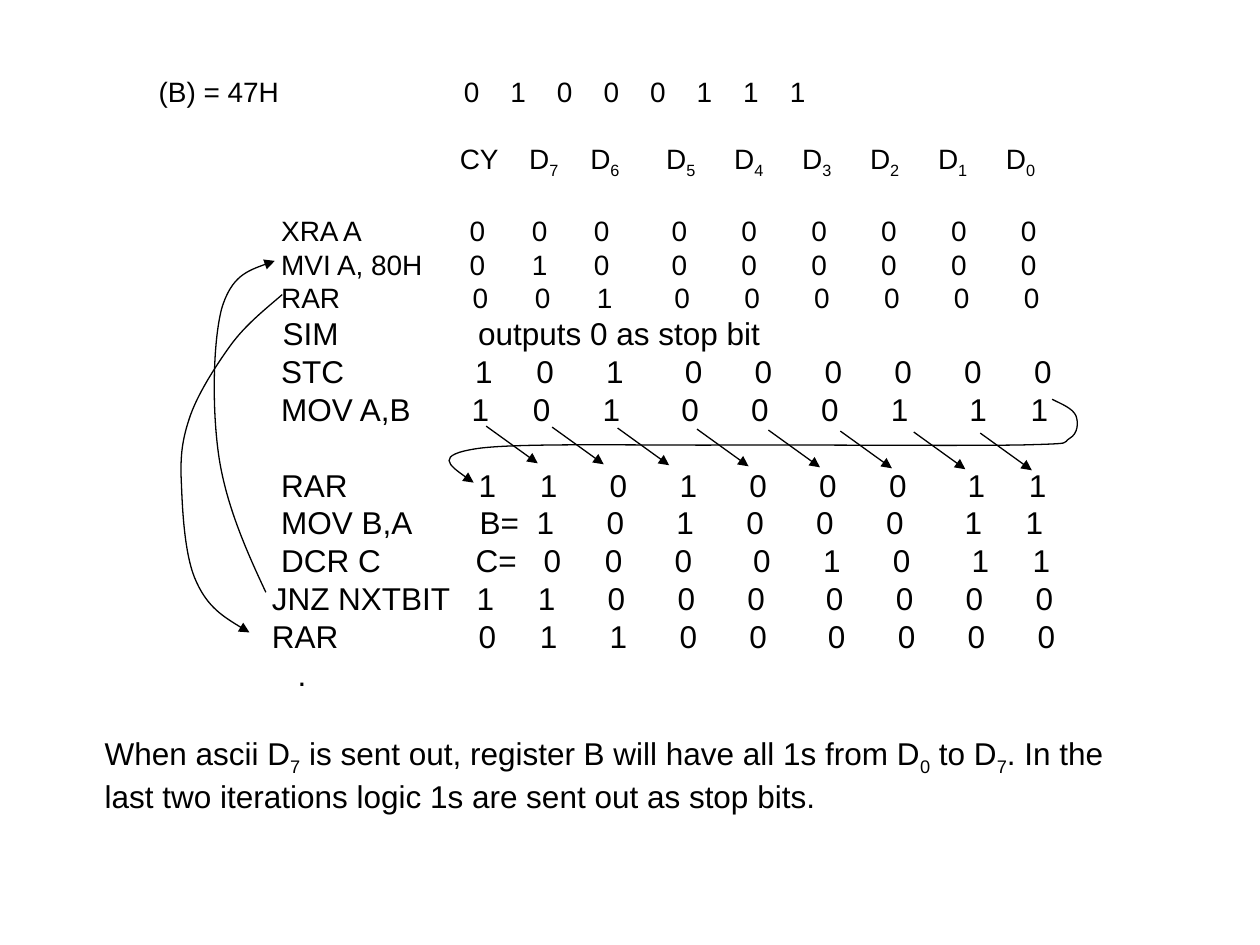
import pptx
import pptx.util
import pptx.dml.color
import pptx.enum.shapes
import pptx.oxml.ns
from lxml import etree

Cm, Pt = pptx.util.Cm, pptx.util.Pt
qn = pptx.oxml.ns.qn
BLACK = pptx.dml.color.RGBColor(0, 0, 0)


def add_runs(p, text, size):
    """Add runs to p; every second piece between | marks is a subscript."""
    for i, piece in enumerate(text.split("|")):
        if piece:
            r = p.add_run()
            r.text = piece
            r.font.name, r.font.size = "Arial", Pt(size)
            r.font.color.rgb = BLACK
            if i % 2:
                r._r.get_or_add_rPr().set("baseline", "-25000")


def style_arrow(s):
    """Thin black line with a triangle at its end and no shadow."""
    s.line.color.rgb = BLACK
    s.line.width = Pt(0.75)
    etree.SubElement(s.line._get_or_add_ln(), qn("a:tailEnd"), type="triangle")
    if s._element.spPr.find(qn("a:effectLst")) is None:
        etree.SubElement(s._element.spPr, qn("a:effectLst"))


prs = pptx.Presentation()
prs.slide_width, prs.slide_height = Cm(25.4), Cm(19.05)
slide = prs.slides.add_slide(prs.slide_layouts[6])

# Tab stops in cm from the left edge of the text
HEADER = [6.07, 7.47, 8.7] + [10.23 + 1.37 * i for i in range(6)]
LABEL, OUTER_LABEL = 2.47, 2.28
DIGIT = 2            # a digit is as wide as two gap units
UNIT = 0.00978       # gap unit in cm for each point of text size

# Register trace: text, size, space before, tab stops, gap units between bits
rows = [
    ("(B) = 47H\t0 1 0 0 0 1 1 1", 16, 0, [6.15], "4444444"),
    ("\tCY\tD|7|\tD|6|\tD|5|\tD|4|\tD|3|\tD|2|\tD|1|\tD|0|", 16, 19.5, HEADER, ""),
    ("\tXRA A\t0 0 0 0 0 0 0 0 0", 16, 19.2, [LABEL, 6.27], "66877777"),
    ("\tMVI A, 80H\t0 1 0 0 0 0 0 0 0", 16, 0, [LABEL, 6.27], "66877777"),
    ("\tRAR\t0 0 1 0 0 0 0 0 0", 16, 0, [LABEL, 6.33], "66877777"),
    ("\tSIM\toutputs 0 as stop bit", 18, 0, [2.5, 6.44], ""),
    ("\tSTC\t1 0 1 0 0 0 0 0 0", 18, 0, [LABEL, 6.38], "56766666"),
    ("\tMOV A,B\t1 0 1 0 0 0 1 1 1", 18, 0, [LABEL, 6.31], "56766675"),
    ("\tRAR\t1 1 0 1 0 0 0 1 1", 18, 21.6, [LABEL, 6.45], "56666675"),
    ("\tMOV B,A\tB=\t1 0 1 0 0 0 1 1", 18, 0, [LABEL, 6.47, 7.62], "6666675"),
    ("\tDCR C\tC=\t0 0 0 0 1 0 1 1", 18, 0, [LABEL, 6.39, 7.76], "5676675"),
    ("\tJNZ NXTBIT\t1 1 0 0 0 0 0 0 0", 18, 0, [OUTER_LABEL, 6.41], "56667666"),
    ("\tRAR\t0 1 1 0 0 0 0 0 0", 18, 0, [OUTER_LABEL, 6.45], "56667666"),
    ("\t.", 18, 0, [2.8], ""),
]
tf = slide.shapes.add_textbox(Cm(2.95), Cm(1.37), Cm(18.62), Cm(12.73)).text_frame
tf.word_wrap = True
for i, (text, size, space, stops, gaps) in enumerate(rows):
    p = tf.add_paragraph() if i else tf.paragraphs[0]
    stops = list(stops)
    for gap in gaps:
        stops.append(stops[-1] + (DIGIT + int(gap)) * UNIT * size)
    tabs = etree.SubElement(p._p.get_or_add_pPr(), qn("a:tabLst"))
    for stop in stops:
        etree.SubElement(tabs, qn("a:tab"), pos=str(Cm(stop)), algn="l")
    if space:
        p.space_before = Pt(space)
    if gaps:
        label, bits = text.rsplit("\t", 1)
        text = label + "\t" + bits.replace(" ", "\t")
    add_runs(p, text, size)

# Arrows shifting each bit one place to the right
for i, x in enumerate([9.8, 11.13, 12.45, 14.05, 15.49, 16.94, 18.42, 19.76]):
    y = 8.59 + 0.02 * i
    s = slide.shapes.add_connector(pptx.enum.shapes.MSO_CONNECTOR.STRAIGHT,
                                   Cm(x), Cm(y), Cm(x + 1.04), Cm(y + 0.75))
    style_arrow(s)

# Curved arrows as Bezier points in cm: start, then three per segment
carry_loop = [
    (21.21, 8.05), (21.41, 8.15), (21.62, 8.23), (21.69, 8.38),
    (21.74, 8.51), (21.74, 8.74), (21.56, 8.84),
    (21.39, 8.94), (21.72, 8.94), (20.62, 8.97),
    (19.53, 8.99), (16.84, 8.97), (15.01, 8.97),
    (13.18, 8.99), (10.54, 8.92), (9.65, 9.04),
    (8.74, 9.17), (9.14, 9.45), (9.55, 9.73)]
jump_back = [
    (5.36, 11.94), (4.95, 11.07), (4.57, 10.19), (4.42, 9.25),
    (4.27, 8.28), (4.29, 6.91), (4.47, 6.22),
    (4.67, 5.56), (5.11, 5.41), (5.54, 5.26)]
next_pass = [
    (5.69, 5.94), (5.33, 6.25), (4.95, 6.55), (4.65, 6.96),
    (4.34, 7.39), (3.96, 7.98), (3.81, 8.46),
    (3.66, 8.92), (3.63, 9.25), (3.66, 9.8),
    (3.68, 10.34), (3.73, 11.25), (3.96, 11.73),
    (4.19, 12.24), (4.6, 12.5), (5.03, 12.75)]
for curve in (carry_loop, jump_back, next_pass):
    start, *points = [(Cm(x), Cm(y)) for x, y in curve]
    builder = slide.shapes.build_freeform(*start)
    builder.add_line_segments(points, close=False)
    s = builder.convert_to_shape()
    # Turn every three line points into one Bezier segment
    outline = s._element.spPr.find(".//" + qn("a:path"))
    lines = outline.findall(qn("a:lnTo"))
    for i in range(0, len(lines), 3):
        cubic = etree.SubElement(outline, qn("a:cubicBezTo"))
        for line in lines[i:i + 3]:
            cubic.append(line[0])
            outline.remove(line)
    s.fill.background()
    s.shadow.inherit = False
    style_arrow(s)

# Closing remark
tf = slide.shapes.add_textbox(Cm(1.86), Cm(14.68), Cm(21.16), Cm(1.88)).text_frame
tf.word_wrap = True
add_runs(tf.paragraphs[0],
         "When ascii D|7| is sent out, register B will have all 1s from D|0| to D|7|. "
         "In the last two iterations logic 1s are sent out as stop bits.", 18)

prs.save("out.pptx")
